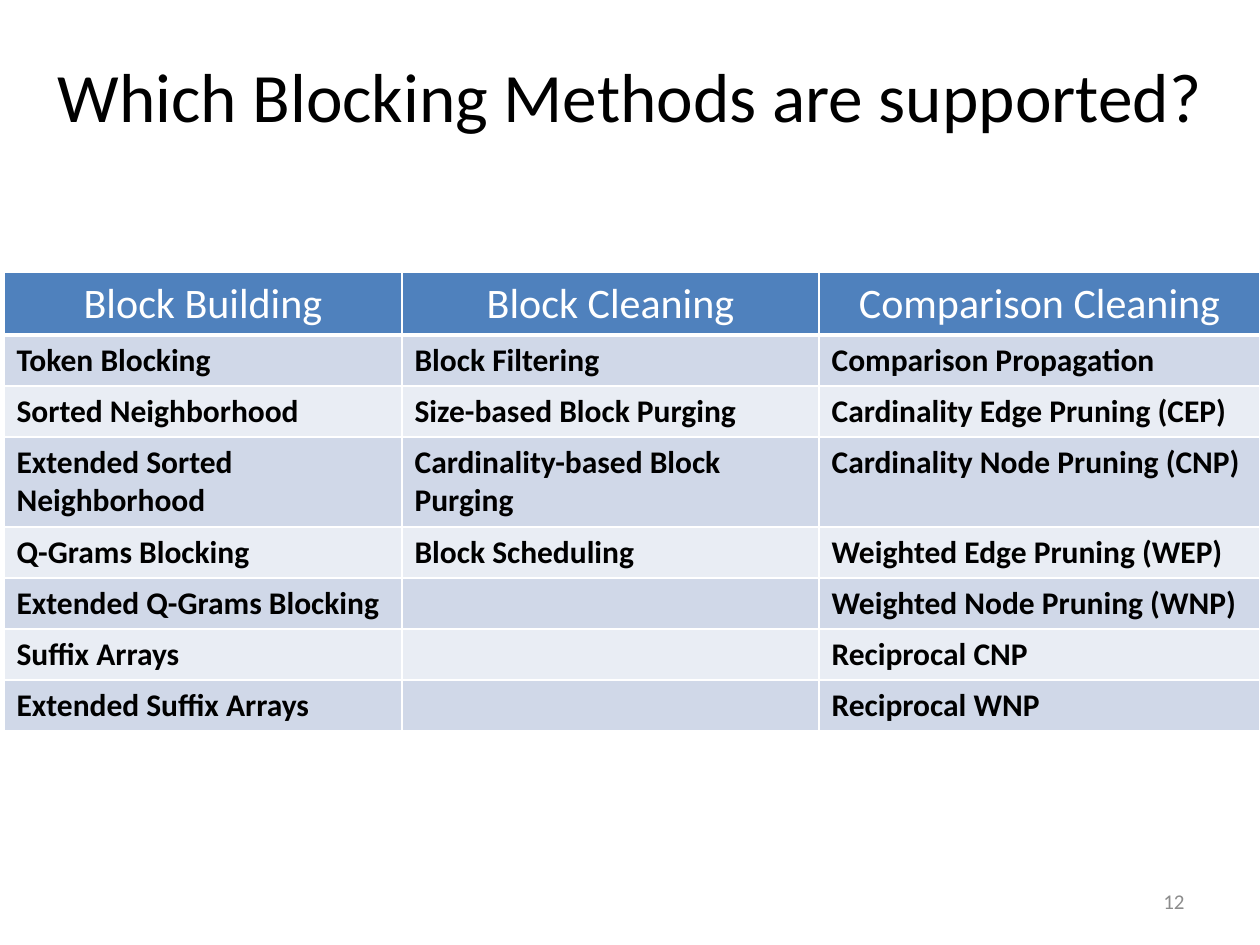
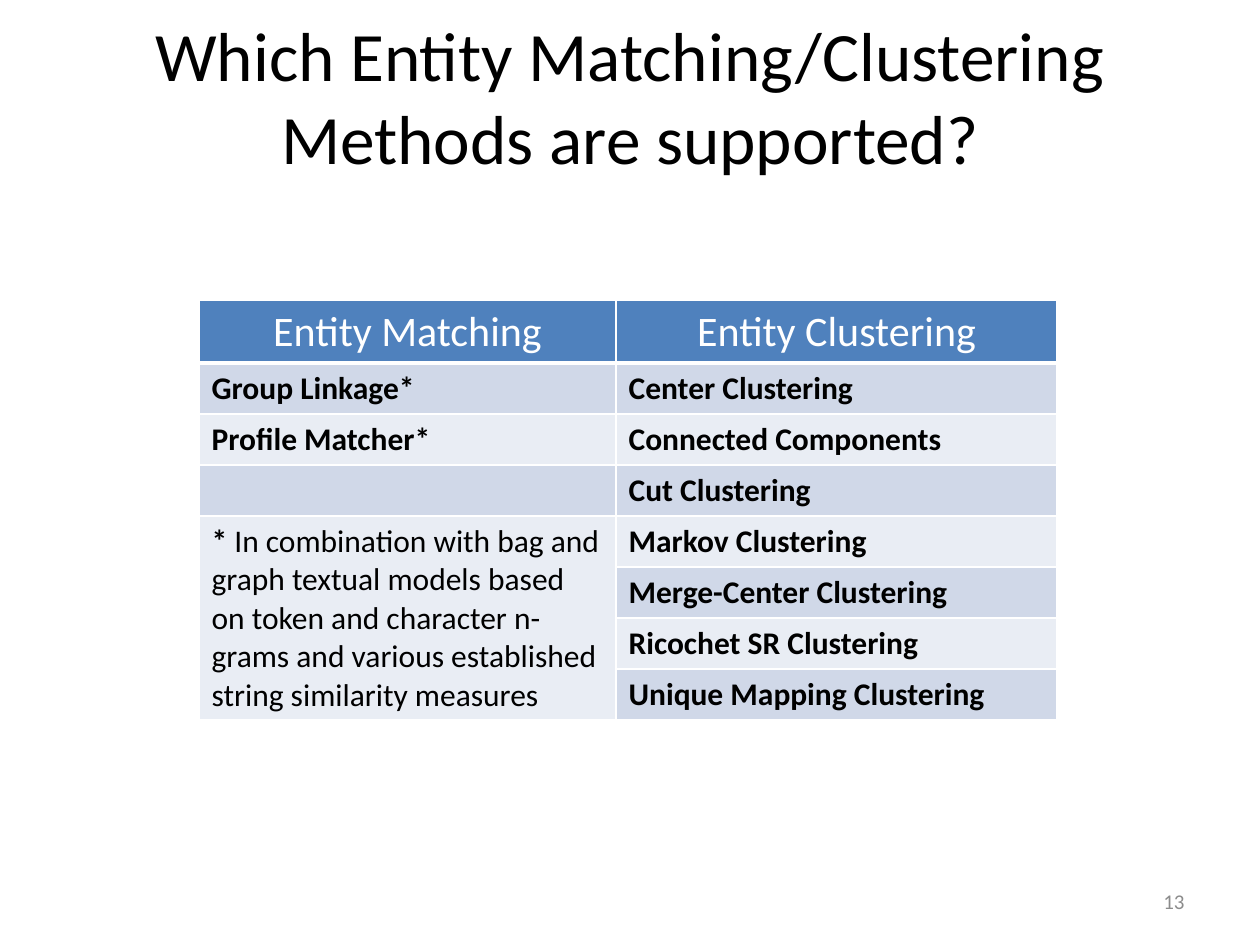
from itertools import zip_longest

from lxml.etree import SubElement
from pptx import Presentation
from pptx.dml.color import RGBColor
from pptx.enum.text import MSO_ANCHOR, PP_ALIGN
from pptx.oxml.ns import qn
from pptx.util import Pt

SCALE = 914400 / 126  # EMU in one px
COLORS = {
    "text": "000000",
    "white": "FFFFFF",
    "head": "4F81BD",
    "odd": "D0D8E8",
    "even": "E9EDF4",
    "number": "8C8C8C",
}
FONT = "Calibri"


def px(count):
    return round(count * SCALE)


def rgb(name):
    return RGBColor.from_string(COLORS[name])


class Deck:
    def __init__(self):
        self.file = Presentation()
        self.file.slide_width, self.file.slide_height = px(1260), px(945)
        self.slide = None

    def style(self, para, size, color, bold=False, align=PP_ALIGN.LEFT):
        para.alignment = align
        for run in para.runs:
            font = run.font
            font.name, font.size, font.bold = FONT, Pt(size), bold
            font.color.rgb = rgb(color)

    def text(self, box, words, size, color, align):
        frame = self.slide.shapes.add_textbox(*map(px, box)).text_frame
        frame.word_wrap = True
        frame.vertical_anchor = MSO_ANCHOR.MIDDLE
        frame.text = words
        self.style(frame.paragraphs[0], size, color, align=align)

    def page(self, title, number):
        self.slide = self.file.slides.add_slide(self.file.slide_layouts[6])
        self.text((25, 16, 1210, 158), title, 39.6, "text", PP_ALIGN.CENTER)
        self.text((903, 876, 294, 50), str(number), 12, "number", PP_ALIGN.RIGHT)

    def borders(self, cell, bottom):
        props = cell._tc.get_or_add_tcPr()
        for side, width in (("L", 1), ("R", 1), ("T", 1), ("B", bottom)):
            line = SubElement(props, qn(f"a:ln{side}"), w=str(Pt(width)))
            fill = SubElement(line, qn("a:solidFill"))
            SubElement(fill, qn("a:srgbClr"), val=COLORS["white"])

    def table(self, left, top, widths, columns, tall=()):
        """Each column is a heading followed by its entries."""
        rows = list(zip_longest(*columns, fillvalue=""))
        heights = [63] + [90 if r in tall else 51 for r in range(1, len(rows))]
        box = (left, top, sum(widths), sum(heights))
        grid = self.slide.shapes.add_table(
            len(rows), len(widths), *map(px, box)).table
        grid.first_row = grid.horz_banding = False
        for column, width in zip(grid.columns, widths):
            column.width = px(width)
        for r, (row, height) in enumerate(zip(rows, heights)):
            grid.rows[r].height = px(height)
            band = "head" if r == 0 else "odd" if r % 2 else "even"
            for c, words in enumerate(row):
                cell = grid.cell(r, c)
                self.borders(cell, 1 if r else 3)
                cell.fill.solid()
                cell.fill.fore_color.rgb = rgb(band)
                cell.text_frame.text = words
                para = cell.text_frame.paragraphs[0]
                if r == 0:
                    self.style(para, 24, "white", align=PP_ALIGN.CENTER)
                else:
                    self.style(para, 18, "text", bold=True)
        return grid

    def note(self, grid, first, last, mark, words):
        """Merge two cells and what lies between, then add a marked note."""
        cell = grid.cell(*first)
        cell.merge(grid.cell(*last))
        para = cell.text_frame.paragraphs[0]
        para.text = mark
        para.add_run().text = words
        self.style(para, 18, "text")
        para.runs[0].font.bold = True


def main():
    deck = Deck()

    # Blocking methods
    deck.page("Which Blocking Methods are supported?", 12)
    deck.table(4, 272, (398, 417, 441), (
        ("Block Building", "Token Blocking", "Sorted Neighborhood",
         "Extended Sorted Neighborhood", "Q-Grams Blocking",
         "Extended Q-Grams Blocking", "Suffix Arrays",
         "Extended Suffix Arrays"),
        ("Block Cleaning", "Block Filtering", "Size-based Block Purging",
         "Cardinality-based Block Purging", "Block Scheduling"),
        ("Comparison Cleaning", "Comparison Propagation",
         "Cardinality Edge Pruning (CEP)", "Cardinality Node Pruning (CNP)",
         "Weighted Edge Pruning (WEP)", "Weighted Node Pruning (WNP)",
         "Reciprocal CNP", "Reciprocal WNP"),
    ), tall=(3,))

    # Matching and clustering methods
    deck.page("Which Entity Matching/Clustering Methods are supported?", 13)
    grid = deck.table(199, 300, (417, 441), (
        ("Entity Matching", "Group Linkage*", "Profile Matcher*"),
        ("Entity Clustering", "Center Clustering", "Connected Components",
         "Cut Clustering", "Markov Clustering", "Merge-Center Clustering",
         "Ricochet SR Clustering", "Unique Mapping Clustering"),
    ))
    deck.note(grid, (4, 0), (7, 0), "*",
              " In combination with bag and graph textual models based on "
              "token and character n-grams and various established string "
              "similarity measures")

    deck.file.save("out.pptx")


if __name__ == "__main__":
    main()
